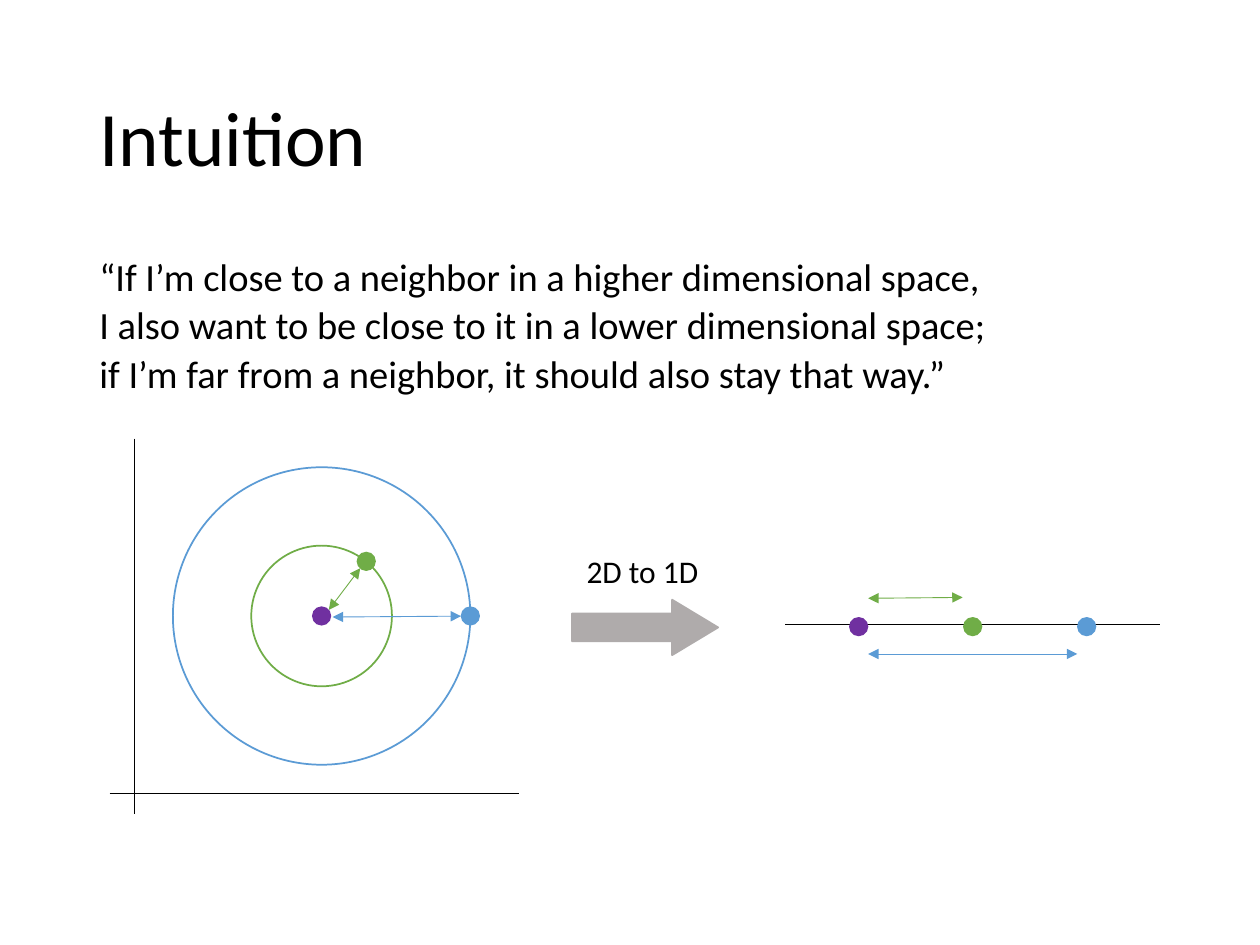
from typing import NamedTuple, Optional

from lxml.etree import SubElement
from pptx import Presentation
from pptx.dml.color import RGBColor
from pptx.enum.shapes import MSO_CONNECTOR, MSO_SHAPE
from pptx.enum.text import MSO_ANCHOR, PP_ALIGN
from pptx.oxml.ns import qn
from pptx.util import Pt

FONT = "Calibri"
BLACK, GRAY = "000000", "AFABAB"
GREEN, BLUE, PURPLE = "70AD47", "5B9BD5", "7030A0"


class Circle(NamedTuple):
    cx: float
    cy: float
    diameter: float
    fill: Optional[str] = None
    line: Optional[str] = None


class Line(NamedTuple):
    x1: float
    y1: float
    x2: float
    y2: float
    color: str = BLACK
    arrows: bool = False


class TextBox(NamedTuple):
    left: float
    top: float
    width: float
    height: float
    lines: list[str]
    size: float
    spacing: float = 1.0
    before: float = 0
    anchor: MSO_ANCHOR = MSO_ANCHOR.TOP
    align: PP_ALIGN = PP_ALIGN.LEFT


def rgb(color: str) -> RGBColor:
    return RGBColor.from_string(color)


def paint(sp, fill: Optional[str], line: Optional[str]) -> None:
    sp.shadow.inherit = False
    if fill:
        sp.fill.solid()
        sp.fill.fore_color.rgb = rgb(fill)
    else:
        sp.fill.background()
    if line:
        sp.line.color.rgb = rgb(line)
        sp.line.width = Pt(1)
    else:
        sp.line.fill.background()


def draw_circle(s, c: Circle) -> None:
    radius = c.diameter / 2
    sp = s.shapes.add_shape(MSO_SHAPE.OVAL, Pt(c.cx - radius), Pt(c.cy - radius),
                            Pt(c.diameter), Pt(c.diameter))
    paint(sp, c.fill, c.line)


def draw_line(s, ln: Line) -> None:
    cxn = s.shapes.add_connector(MSO_CONNECTOR.STRAIGHT, Pt(ln.x1), Pt(ln.y1),
                                 Pt(ln.x2), Pt(ln.y2))
    cxn.line.color.rgb = rgb(ln.color)
    cxn.line.width = Pt(0.5)
    if ln.arrows:
        for end in ("a:headEnd", "a:tailEnd"):
            SubElement(cxn.line._get_or_add_ln(), qn(end), type="triangle")
    SubElement(cxn._element.spPr, qn("a:effectLst"))


def draw_text(s, t: TextBox) -> None:
    tb = s.shapes.add_textbox(Pt(t.left), Pt(t.top), Pt(t.width), Pt(t.height))
    tf = tb.text_frame
    tf.word_wrap = True
    tf.vertical_anchor = t.anchor
    for i, text in enumerate(t.lines):
        p = tf.add_paragraph() if i else tf.paragraphs[0]
        p.alignment = t.align
        p.line_spacing = t.spacing
        p.space_before = Pt(t.before if i else 0)
        r = p.add_run()
        r.text = text
        r.font.name = FONT
        r.font.size = Pt(t.size)
        r.font.color.rgb = rgb(BLACK)


# Neighbourhood in 2D: shared centre; points on a 1D line at equal steps
CX, CY = 183.8, 352
DOT = 11
LINE_Y = 357.1
DOTS_X = [490.7 + 65.15 * i for i in range(3)]

TEXTS = [
    TextBox(49.7, 28.8, 620.6, 104.4, ["Intuition"], 44, 0.9,
            anchor=MSO_ANCHOR.MIDDLE),
    TextBox(49.7, 144, 620.6, 342.7, [
        "“If I’m close to a neighbor in a higher dimensional space,",
        "I also want to be close to it in a lower dimensional space;",
        "if I’m far from a neighbor, it should also stay that way.”",
    ], 22, 0.9, before=4),
    TextBox(321.8, 311.8, 90.7, 28.8, ["2D to 1D"], 18, align=PP_ALIGN.CENTER),
]
PLANE_CIRCLES = [
    Circle(CX, CY, 80.4, line=GREEN),
    Circle(CX, CY, 170, line=BLUE),
    Circle(CX, CY, DOT, PURPLE),
    Circle(209.3, 320.8, DOT, GREEN),
    Circle(CX + 85, CY, DOT, BLUE),
]
AXES = [
    Line(448.6, LINE_Y, 663.1, LINE_Y),
    Line(62.6, 453.6, 296.6, 453.6),
    Line(77, 250.6, 77, 465.1),
]
DISTANCES = [
    Line(187.9, 348.5, 205.9, 324.7, GREEN, True),
    Line(190.1, 352.6, 263.5, 352.1, BLUE, True),
    Line(496.1, 341.9, 550.1, 341.4, GREEN, True),
    Line(496.1, 373.7, 615.6, 373.7, BLUE, True),
]


def main() -> None:
    prs = Presentation()
    prs.slide_width, prs.slide_height = Pt(720), Pt(540)
    s = prs.slides.add_slide(prs.slide_layouts[6])

    # Title, quotation and arrow label
    for t in TEXTS:
        draw_text(s, t)

    # Circles in the plane, then axes and points on the line
    for c in PLANE_CIRCLES:
        draw_circle(s, c)
    for ln in AXES:
        draw_line(s, ln)
    for x, color in zip(DOTS_X, (PURPLE, GREEN, BLUE)):
        draw_circle(s, Circle(x, LINE_Y + 1, DOT, color))

    # Distances between neighbours
    for ln in DISTANCES:
        draw_line(s, ln)

    # Block arrow from 2D to 1D
    sp = s.shapes.add_shape(MSO_SHAPE.RIGHT_ARROW, Pt(326.9), Pt(342.7),
                            Pt(83.5), Pt(31.7))
    sp.adjustments[0], sp.adjustments[1] = 0.5, 0.83
    paint(sp, GRAY, GRAY)

    prs.save("out.pptx")


if __name__ == "__main__":
    main()
